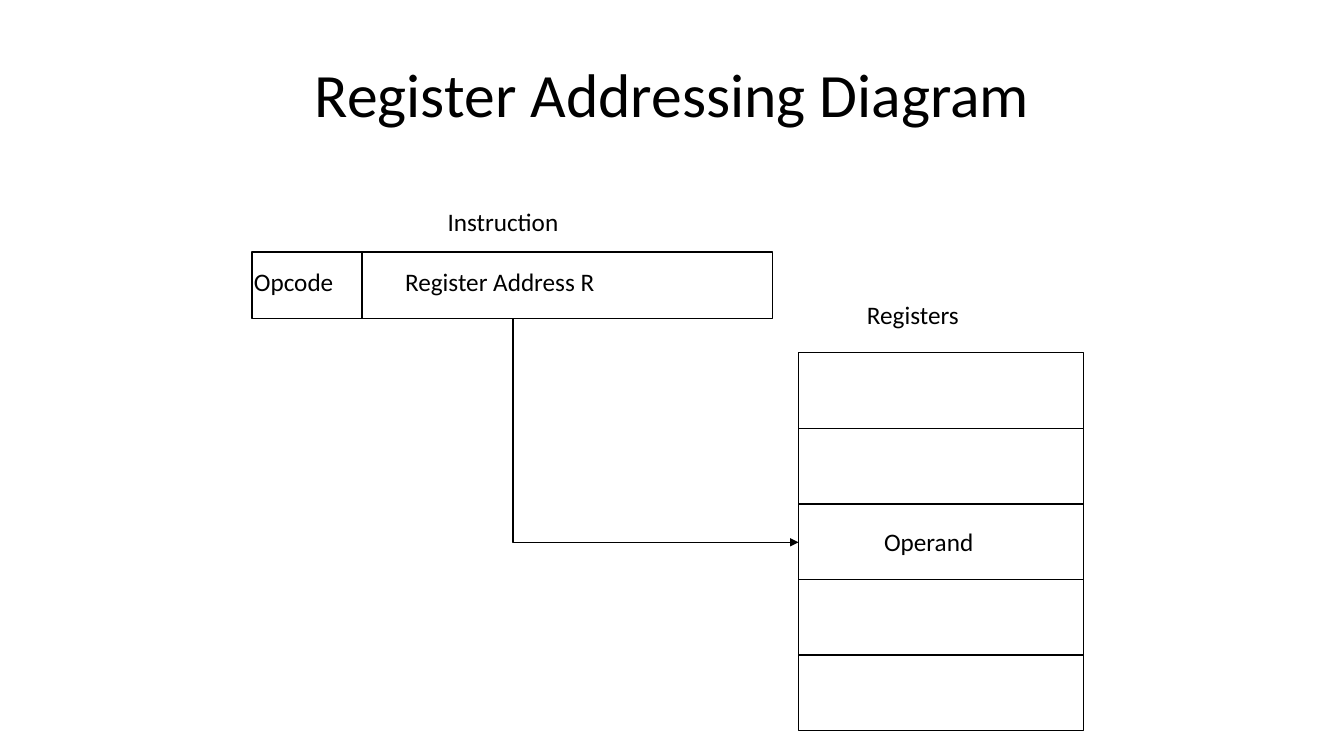
"""Build the register addressing diagram slide."""
import pptx
import pptx.dml.color
import pptx.enum.shapes
import pptx.enum.text
import pptx.oxml.ns
import pptx.util
from lxml import etree
from pptx.util import Inches

BLACK = pptx.dml.color.RGBColor(0, 0, 0)


class Diagram:
    """Hold the slide and its style, and draw each kind of element."""

    def __init__(self, page):
        """Keep the page and the common style."""
        self.shapes = page.shapes
        self.font = "Calibri"
        self.color = BLACK
        self.weight = pptx.util.Pt(1)

    def outline(self, line):
        """Give a line the common colour and weight."""
        line.color.rgb = self.color
        line.width = self.weight

    def text(self, words, left, top, width, height=0.4, size=18):
        """Add a one-line text box."""
        box = self.shapes.add_textbox(Inches(left), Inches(top), Inches(width), Inches(height))
        box.text_frame.text = words
        box.text_frame.word_wrap = False
        font = box.text_frame.paragraphs[0].runs[0].font
        font.name = self.font
        font.size = pptx.util.Pt(size)
        font.color.rgb = self.color
        return box

    def title(self, words):
        """Add the centred slide title."""
        frame = self.text(words, 0.67, 0.3, 12, 1.25, 44).text_frame
        frame.word_wrap = True
        frame.vertical_anchor = pptx.enum.text.MSO_ANCHOR.MIDDLE
        frame.paragraphs[0].alignment = pptx.enum.text.PP_ALIGN.CENTER

    def cell(self, left, top, width, height):
        """Add an unfilled rectangle."""
        box = self.shapes.add_shape(
            pptx.enum.shapes.MSO_SHAPE.RECTANGLE,
            Inches(left), Inches(top), Inches(width), Inches(height))
        box.shadow.inherit = False
        box.fill.background()
        self.outline(box.line)

    def divider(self, x, top, bottom):
        """Add a vertical line."""
        line = self.shapes.add_connector(
            pptx.enum.shapes.MSO_CONNECTOR.STRAIGHT,
            Inches(x), Inches(top), Inches(x), Inches(bottom))
        self.outline(line.line)
        etree.SubElement(line._element.spPr, pptx.oxml.ns.qn("a:effectLst"))

    def arrow(self, points):
        """Add an open path that ends in an arrowhead."""
        start, *rest = [(Inches(x), Inches(y)) for x, y in points]
        builder = self.shapes.build_freeform(*start)
        builder.add_line_segments(rest, close=False)
        route = builder.convert_to_shape()
        route.shadow.inherit = False
        route.fill.background()
        self.outline(route.line)
        line = route.line._get_or_add_ln()
        etree.SubElement(line, pptx.oxml.ns.qn("a:tailEnd"), type="triangle")


def main():
    """Draw the slide and save the deck."""
    deck = pptx.Presentation()
    deck.slide_width = Inches(13.33)
    deck.slide_height = Inches(7.5)
    diagram = Diagram(deck.slides.add_slide(deck.slide_layouts[6]))

    diagram.title("Register Addressing Diagram")

    diagram.cell(2.5, 2.5, 5.16, 0.66)
    diagram.divider(3.59, 2.5, 3.16)
    diagram.text("Register Address R", 3.92, 2.59, 2.1)
    diagram.text("Opcode", 2.42, 2.59, 1)
    diagram.text("Instruction", 4.34, 2, 1.31)

    for row in range(5):
        diagram.cell(7.92, 3.5 + 0.75 * row, 2.83, 0.75)
    diagram.text("Registers", 8.5, 2.92, 1.12)
    diagram.text("Operand", 8.67, 5.17, 1.1)

    diagram.arrow([(5.09, 3.16), (5.09, 5.38), (7.92, 5.38)])
    deck.save("out.pptx")


if __name__ == "__main__":
    main()
